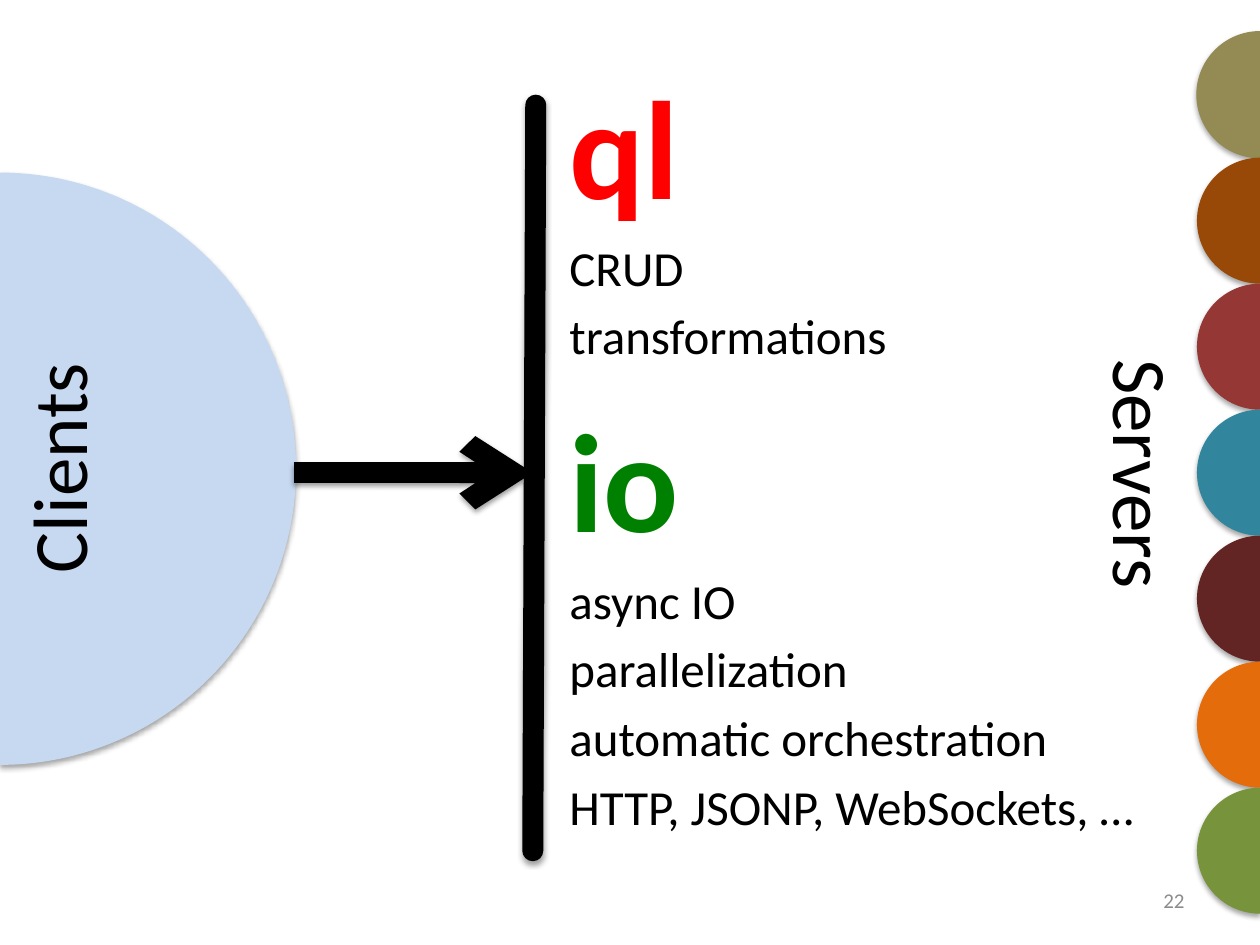
from dataclasses import dataclass

from lxml import etree
from pptx import Presentation
from pptx.dml.color import RGBColor
from pptx.enum.shapes import MSO_CONNECTOR, MSO_SHAPE
from pptx.enum.text import MSO_ANCHOR, MSO_AUTO_SIZE, PP_ALIGN
from pptx.oxml.ns import qn
from pptx.util import Cm, Pt

PIE = MSO_SHAPE.PIE
STRAIGHT = MSO_CONNECTOR.STRAIGHT
MIDDLE = MSO_ANCHOR.MIDDLE
GROW = MSO_AUTO_SIZE.SHAPE_TO_FIT_TEXT
RIGHT = PP_ALIGN.RIGHT

FONT = "Calibri"
COLORS = {
    "black": "000000",
    "gray": "8C8C8C",
    "red": "FF0000",
    "green": "008000",
    "clients": "C6D9F1",
    "olive": "948A54",
    "brown": "984807",
    "brick": "953735",
    "teal": "31859C",
    "maroon": "632523",
    "orange": "E46C0A",
    "leaf": "77933C",
}
SERVERS = ["olive", "brown", "brick", "teal", "maroon", "orange", "leaf"]
SERVER_SIZE = 2.54
QUARTER_TURN = 54
RIGHT_HALF = (3 * QUARTER_TURN, QUARTER_TURN)
LEFT_HALF = (QUARTER_TURN, 3 * QUARTER_TURN)


@dataclass
class Frame:
    left: float
    top: float
    width: float
    height: float

    def lengths(self) -> list[Cm]:
        return [Cm(side) for side in (self.left, self.top, self.width, self.height)]


@dataclass
class Line:
    text: str
    size: int = 28
    color: str = "black"
    bold: bool = False


@dataclass
class Bar:
    start: tuple[float, float]
    end: tuple[float, float]
    cap: str
    arrow: bool = False


def rgb(name: str) -> RGBColor:
    return RGBColor.from_string(COLORS[name])


def add_shadow(effects, opacity: int, distance: float) -> None:
    outer = etree.SubElement(
        effects, qn("a:outerShdw"), blurRad=str(Pt(3.1)), dist=str(Pt(distance)),
        dir="5400000", rotWithShape="0",
    )
    shade = etree.SubElement(outer, qn("a:srgbClr"), val=COLORS["black"])
    etree.SubElement(shade, qn("a:alpha"), val=str(opacity * 1000))


def add_half_disc(page, frame: Frame, angles: tuple[int, int], color: str):
    disc = page.shapes.add_shape(PIE, *frame.lengths())
    disc.adjustments[0], disc.adjustments[1] = angles
    disc.fill.solid()
    disc.fill.fore_color.rgb = rgb(color)
    disc.line.fill.background()
    disc.shadow.inherit = False
    add_shadow(disc.element.spPr.find(qn("a:effectLst")), 35, 1.8)
    return disc


def add_bar(page, bar: Bar) -> None:
    points = [Cm(value) for value in bar.start + bar.end]
    connector = page.shapes.add_connector(STRAIGHT, *points)
    connector.line.width = Pt(12)
    connector.line.color.rgb = rgb("black")
    properties = connector.element.spPr
    outline = properties.find(qn("a:ln"))
    outline.set("cap", bar.cap)
    if bar.arrow:
        etree.SubElement(outline, qn("a:tailEnd"), type="arrow")
    add_shadow(etree.SubElement(properties, qn("a:effectLst")), 38, 1.6)


def add_text(page, frame: Frame, lines: list[Line], spacing: int = 0):
    box = page.shapes.add_textbox(*frame.lengths())
    text_frame = box.text_frame
    text_frame.word_wrap = True
    for index, line in enumerate(lines):
        para = text_frame.add_paragraph() if index else text_frame.paragraphs[0]
        para.text = line.text
        if spacing:
            before = etree.Element(qn("a:spcBef"))
            etree.SubElement(before, qn("a:spcPct"), val=str(spacing * 1000))
            para._p.get_or_add_pPr().insert(0, before)
        para.font.name = FONT
        para.font.size = Pt(line.size)
        para.font.bold = line.bold
        para.font.color.rgb = rgb(line.color)
    return text_frame


def add_vertical_label(page, frame: Frame, text: str, direction: str) -> None:
    text_frame = add_text(page, frame, [Line(text, 44)])
    text_frame.word_wrap = False
    text_frame.auto_size = GROW
    text_frame._txBody.find(qn("a:bodyPr")).set("vert", direction)


def main() -> None:
    deck = Presentation()
    deck.slide_width, deck.slide_height = Cm(25.4), Cm(19.05)
    page = deck.slides.add_slide(deck.slide_layouts[6])

    number = add_text(page, Frame(18.2, 17.65, 5.93, 1.01), [Line("22", 12, "gray")])
    number.vertical_anchor = MIDDLE
    number.paragraphs[0].alignment = RIGHT

    add_half_disc(page, Frame(-5.97, 3.48, 11.94, 11.94), RIGHT_HALF, "clients")
    add_vertical_label(page, Frame(0.08, 7.26, 2.39, 4.55), "Clients", "vert270")

    for index, color in enumerate(SERVERS):
        top = 0.64 + index * SERVER_SIZE
        frame = Frame(24.13, top, SERVER_SIZE, SERVER_SIZE)
        disc = add_half_disc(page, frame, LEFT_HALF, color)
        if color == "olive":
            disc.line.color.rgb = rgb(color)
            disc.line.width = Pt(0.75)

    features = [
        Line("ql", 80, "red", True),
        Line("CRUD"),
        Line("transformations"),
        Line("io", 80, "green", True),
        Line("async IO"),
        Line("parallelization"),
        Line("automatic orchestration"),
        Line("HTTP, JSONP, WebSockets, …"),
    ]
    add_text(page, Frame(11.23, 1.07, 12.7, 14.81), features, spacing=20)

    add_bar(page, Bar((10.8, 2.12), (10.74, 17.15), "rnd"))
    add_bar(page, Bar((5.92, 9.53), (10.74, 9.53), "flat", arrow=True))
    add_vertical_label(page, Frame(21.74, 6.99, 2.39, 4.95), "Servers", "vert")

    deck.save("out.pptx")


if __name__ == "__main__":
    main()
